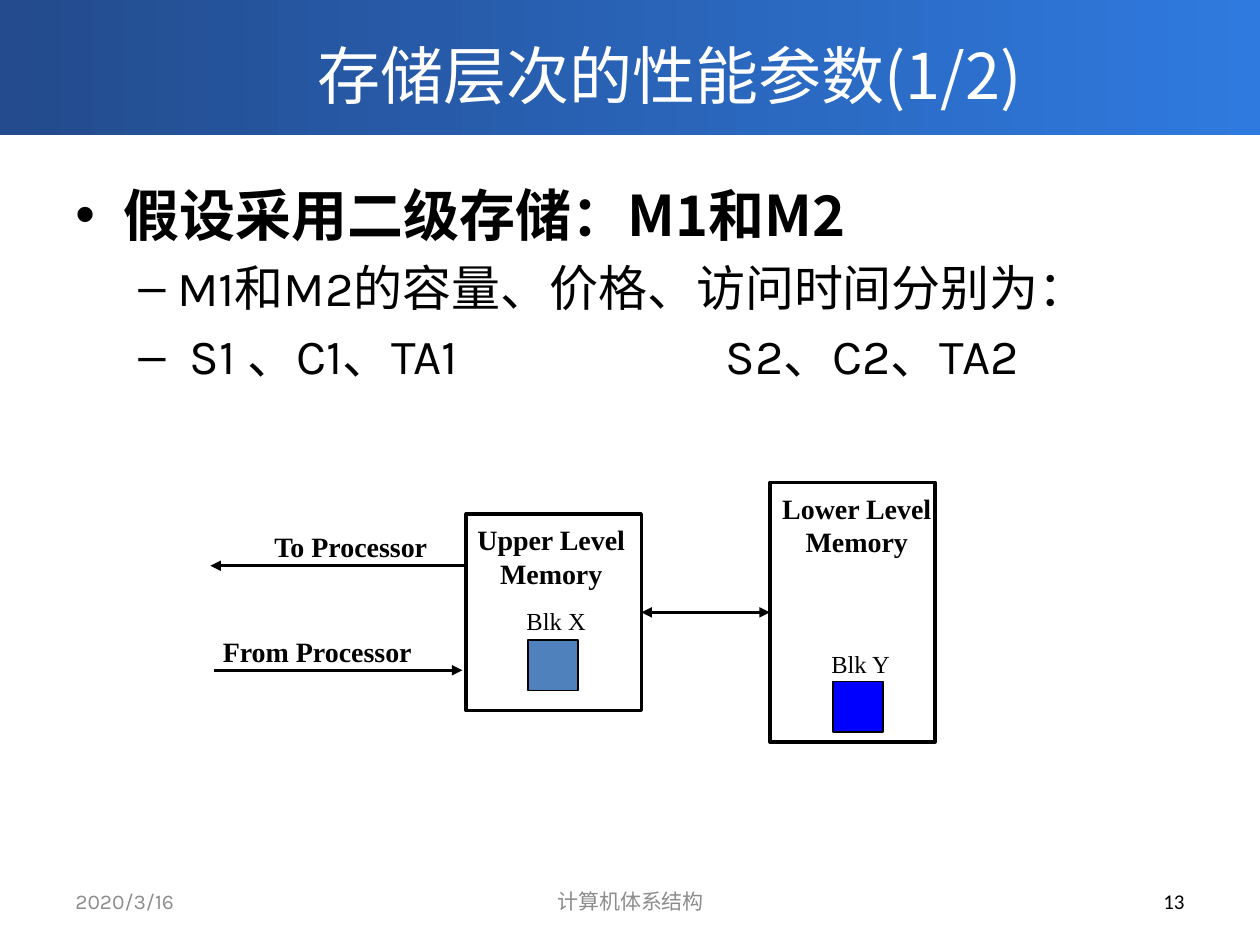
from lxml.etree import SubElement
from pptx import Presentation
from pptx.dml.color import RGBColor
from pptx.enum.shapes import MSO_CONNECTOR, MSO_SHAPE
from pptx.enum.text import MSO_ANCHOR, PP_ALIGN
from pptx.oxml.ns import qn
from pptx.util import Inches, Pt

SANS, BODY, SERIF = "Noto Sans CJK SC", "Karla", "Times New Roman"
BLACK, WHITE, GREY = "000000", "FFFFFF", "8C8C8C"
LEFT, CENTER, RIGHT = PP_ALIGN.LEFT, PP_ALIGN.CENTER, PP_ALIGN.RIGHT

TITLE = "存储层次的性能参数(1/2)"
BANNER_COLORS = ("234B8D", "2F7ADF")
BULLETS = [
    ("假设采用二级存储：M1和M2", 0, "•", 0.38, 0.38, 32, SANS, True),
    ("M1和M2的容量、价格、访问时间分别为：", 1, "–", 0.81, 0.31, 28, BODY, False),
    ("S1 、C1、TA1\tS2、C2、TA2", 1, "–", 0.91, 0.41, 28, BODY, False),
]
SECOND_MEMORY_TAB = 5.16
FOOTERS = [
    ("2020/3/16", 0.5, 2.33, LEFT, BODY, GREY),
    ("计算机体系结构", 3.42, 3.17, CENTER, BODY, GREY),
    ("13", 7.17, 2.33, RIGHT, "Calibri", BLACK),
]
MEMORIES = [(3.7, 4.08, 1.39, 1.56), (6.11, 3.83, 1.31, 2.06)]
BLOCKS = [(4.19, 5.08, "4F81BD"), (6.61, 5.41, "0000FF")]
BLOCK_SIZE = 0.4
LABELS = [
    (["Lower Level", "Memory"], (6.1, 3.85, 1.4, 0.64), CENTER, 16, True),
    (["Upper Level", "Memory"], (3.68, 4.1, 1.39, 0.64), CENTER, 16, True),
    (["To Processor"], (2.08, 4.15, 1.43, 0.37), LEFT, 16, True),
    (["From Processor"], (1.67, 4.99, 1.72, 0.37), LEFT, 16, True),
    (["Blk X"], (4.08, 4.76, 0.68, 0.33), LEFT, 14, False),
    (["Blk Y"], (6.5, 5.1, 0.67, 0.33), LEFT, 14, False),
]
PROCESSOR_ARROWS = [(3.7, 1.67, 4.49), (1.7, 3.67, 5.32)]


def rgb(value):
    return RGBColor.from_string(value)


def inches(values):
    return [Inches(value) for value in values]


def add_run(paragraph, text, size, font, color, bold=False):
    run = paragraph.add_run()
    run.text = text
    run.font.size = Pt(size)
    run.font.bold = bold
    run.font.color.rgb = rgb(color)
    run.font.name = font
    SubElement(run.font._element, qn("a:ea"), typeface=SANS)


def add_text(slide, box, wrap=True, anchor=MSO_ANCHOR.TOP):
    frame = slide.shapes.add_textbox(*inches(box)).text_frame
    frame.word_wrap = wrap
    frame.vertical_anchor = anchor
    return frame


def add_rectangle(slide, box, fill=None, width=None):
    rectangle = slide.shapes.add_shape(MSO_SHAPE.RECTANGLE, *inches(box))
    rectangle.shadow.inherit = False
    if fill:
        rectangle.fill.solid()
        rectangle.fill.fore_color.rgb = rgb(fill)
    else:
        rectangle.fill.background()
    if width:
        rectangle.line.color.rgb = rgb(BLACK)
        rectangle.line.width = Pt(width)
    else:
        rectangle.line.fill.background()
    return rectangle


def add_arrow(slide, start, end, y, ends=("tailEnd",)):
    arrow = slide.shapes.add_connector(
        MSO_CONNECTOR.STRAIGHT, *inches((start, y, end, y)))
    arrow.line.color.rgb = rgb(BLACK)
    arrow.line.width = Pt(2)
    for tag in ends:
        SubElement(arrow.line._get_or_add_ln(), qn(f"a:{tag}"), type="triangle")
    SubElement(arrow.element.spPr, qn("a:effectLst"))
    return arrow


def add_header(slide):
    banner = add_rectangle(slide, (0, 0, 10, 1.07))
    banner.fill.gradient()
    banner.fill.gradient_angle = 0
    for stop, color in zip(banner.fill.gradient_stops, BANNER_COLORS):
        stop.color.rgb = rgb(color)
    title = slide.shapes.title
    banner.element.addnext(title.element)
    title.left, title.top, title.width, title.height = inches(
        (1.13, 0.16, 8.37, 0.86))
    title.text_frame.vertical_anchor = MSO_ANCHOR.MIDDLE
    paragraph = title.text_frame.paragraphs[0]
    paragraph.alignment = CENTER
    add_run(paragraph, TITLE, 36, SANS, WHITE)


def add_bullets(slide):
    frame = add_text(slide, (0.5, 1.38, 9, 2))
    for index, (text, level, mark, margin, hang, size, font, bold) in enumerate(BULLETS):
        paragraph = frame.add_paragraph() if index else frame.paragraphs[0]
        paragraph.level = level
        if index:
            paragraph.space_before = Pt(size * 0.2)
        properties = paragraph._p.get_or_add_pPr()
        properties.set("marL", str(Inches(margin)))
        properties.set("indent", str(-Inches(hang)))
        SubElement(properties, qn("a:buFont"), typeface="Arial")
        SubElement(properties, qn("a:buChar"), char=mark)
        if "\t" in text:
            tabs = SubElement(properties, qn("a:tabLst"))
            SubElement(tabs, qn("a:tab"), pos=str(Inches(SECOND_MEMORY_TAB)), algn="l")
        add_run(paragraph, text, size, font, BLACK, bold)


def add_footers(slide):
    for text, left, width, align, font, color in FOOTERS:
        frame = add_text(slide, (left, 6.95, width, 0.4), anchor=MSO_ANCHOR.MIDDLE)
        frame.paragraphs[0].alignment = align
        add_run(frame.paragraphs[0], text, 12, font, color)


def add_diagram(slide):
    upper, lower = [add_rectangle(slide, box, width=2) for box in MEMORIES]
    for start, end, y in PROCESSOR_ARROWS:
        add_arrow(slide, start, end, y)
    transfer = add_arrow(slide, 5.09, 6.11, 4.86, ("headEnd", "tailEnd"))
    transfer.begin_connect(upper, 3)
    transfer.end_connect(lower, 1)
    for left, top, color in BLOCKS:
        add_rectangle(slide, (left, top, BLOCK_SIZE, BLOCK_SIZE), color, 1)
    for lines, box, align, size, bold in LABELS:
        frame = add_text(slide, box, wrap=False)
        for index, line in enumerate(lines):
            paragraph = frame.add_paragraph() if index else frame.paragraphs[0]
            paragraph.alignment = align
            add_run(paragraph, line, size, SERIF, BLACK, bold)


def main():
    presentation = Presentation()
    presentation.slide_width, presentation.slide_height = Inches(10), Inches(7.5)
    slide = presentation.slides.add_slide(presentation.slide_layouts[5])
    add_header(slide)
    add_bullets(slide)
    add_footers(slide)
    add_diagram(slide)
    presentation.save("out.pptx")


if __name__ == "__main__":
    main()
